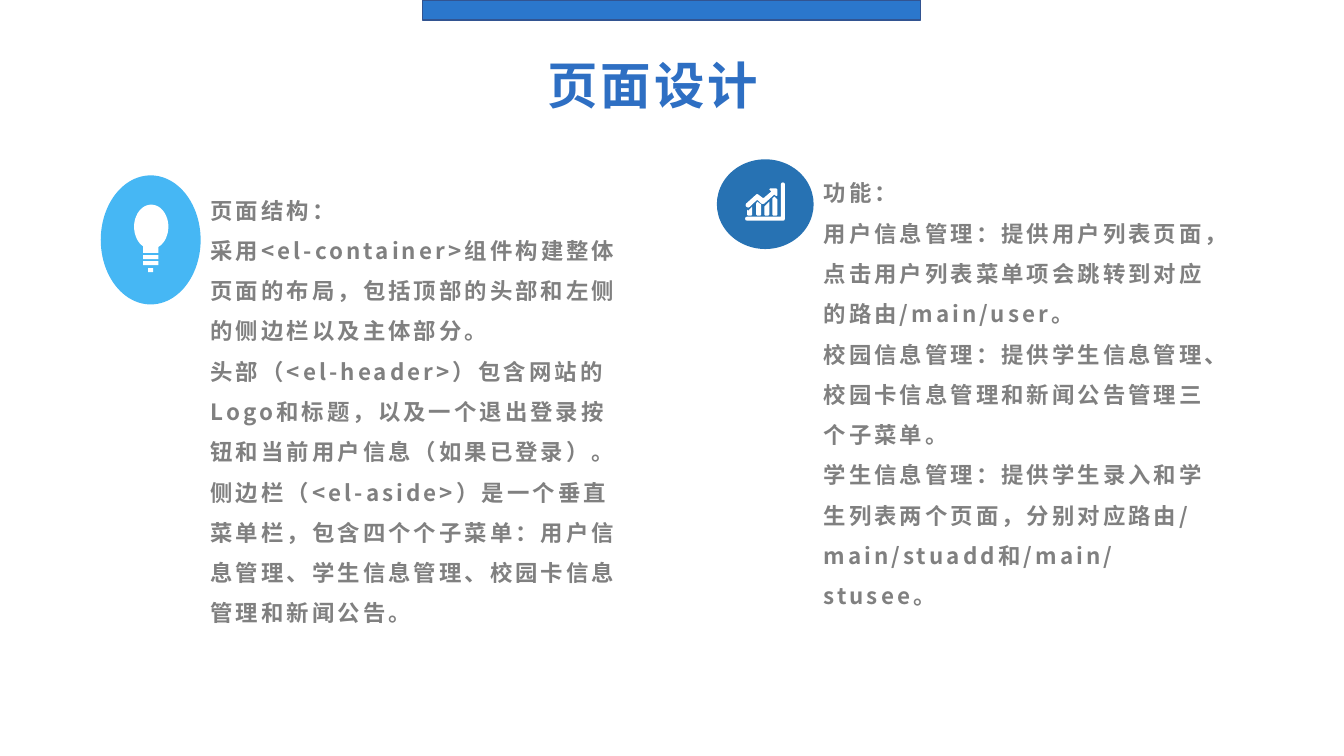
import math

from lxml import etree
from pptx import Presentation
from pptx.dml.color import RGBColor
from pptx.enum.shapes import MSO_SHAPE
from pptx.enum.text import MSO_AUTO_SIZE, PP_ALIGN
from pptx.oxml.ns import qn
from pptx.util import Inches, Pt

RECTANGLE, OVAL = MSO_SHAPE.RECTANGLE, MSO_SHAPE.OVAL
LEFT, CENTER = PP_ALIGN.LEFT, PP_ALIGN.CENTER
GROW = MSO_AUTO_SIZE.SHAPE_TO_FIT_TEXT
FONT = "Noto Sans CJK SC"
WHITE, GREY, TITLE_BLUE = "FFFFFF", "808080", "2E6FC3"

deck = Presentation()
deck.slide_width, deck.slide_height = Inches(13.33), Inches(7.5)
page = deck.slides.add_slide(deck.slide_layouts[6])
COLUMN, ROW = deck.slide_width / 100, deck.slide_height / 100
ICON_STEP = deck.slide_height / 7500


def on_grid(left, top, width, height):
    """Turn hundredths of the slide's width and height into lengths."""
    return (round(left * COLUMN), round(top * ROW),
            round(width * COLUMN), round(height * ROW))


def paint(shape, fill, line=None):
    shape.shadow.inherit = False
    shape.fill.solid()
    shape.fill.fore_color.rgb = RGBColor.from_string(fill)
    if line:
        shape.line.color.rgb = RGBColor.from_string(line)
        shape.line.width = Pt(1)
    else:
        shape.line.fill.background()


# Top band and the two discs behind the icons
for preset, place, fill, line in [
    (RECTANGLE, (31.43, 0, 37.06, 2.67), "2B77CC", "325491"),
    (OVAL, (7.5, 23.2, 7.43, 17.07), "46B7F4", None),
    (OVAL, (53.34, 21.07, 7.2, 11.87), "2772B3", None),
]:
    paint(page.shapes.add_shape(preset, *on_grid(*place)), fill, line)

# Title and the two columns of text
structure = [
    "页面结构：",
    "采用<el-container>组件构建整体页面的布局，包括顶部的头部和左侧的侧边栏以及主体部分。",
    "头部（<el-header>）包含网站的Logo和标题，以及一个退出登录按钮和当前用户信息（如果已登录）。",
    "侧边栏（<el-aside>）是一个垂直菜单栏，包含四个个子菜单：用户信息管理、学生信息管理、校园卡信息管理和新闻公告。",
]
features = [
    "功能：",
    "用户信息管理：提供用户列表页面，点击用户列表菜单项会跳转到对应的路由/main/user。",
    "校园信息管理：提供学生信息管理、校园卡信息管理和新闻公告管理三个子菜单。",
    "学生信息管理：提供学生录入和学生列表两个页面，分别对应路由/main/stuadd和/main/stusee。",
]
for place, lines, size, color, align in [
    ((14.1, 2.53, 68.94, 12), ["页面设计"], 36, TITLE_BLUE, CENTER),
    ((14.93, 23.6, 32.48, 70.53), structure, 16, GREY, LEFT),
    ((60.54, 21.33, 31.21, 59.73), features, 16, GREY, LEFT),
]:
    frame = page.shapes.add_textbox(*on_grid(*place)).text_frame
    frame.word_wrap = True
    frame.auto_size = GROW
    for index, line in enumerate(lines):
        para = frame.add_paragraph() if index else frame.paragraphs[0]
        para.alignment = align
        para.line_spacing = 1.5
        span = para.add_run()
        span.text = line
        span.font.size = Pt(size)
        span.font.bold = True
        span.font.name = FONT
        span.font.color.rgb = RGBColor.from_string(color)
        properties = span.font._element if hasattr(span.font, "_element") else span._r.get_or_add_rPr()
        properties.set("spc", "220")
        etree.SubElement(properties, qn("a:ea")).set("typeface", FONT)

# Light bulb: a round dome on a neck, with three bars below it
neck_angle = math.acos(8 / 17)
sweep = 2 * math.pi - (math.pi - 2 * neck_angle)
dome = []
for index in range(41):
    angle = math.pi - neck_angle + sweep * index / 40
    dome.append((17 + 17 * math.cos(angle), 22 + 22 * math.sin(angle)))
bulb = [dome + [(24, 42), (24, 48), (9, 48), (9, 42)]]
for left, right, top in [(9, 24, 50), (9, 24, 56), (14, 19, 63)]:
    bulb.append([(left, top), (right, top), (right, top + 4), (left, top + 4)])

# Growth chart: four bars, a rising arrow and the axes
growth = []
for bar_top in [
    [(2, 27), (3, 28), (7, 24)],
    [(11, 21), (12, 19), (16, 22)],
    [(19, 24), (24, 19)],
    [(27, 16), (29, 14), (32, 17)],
]:
    left, right = bar_top[0][0], bar_top[-1][0]
    growth.append(bar_top + [(right, 32), (right - 1, 33), (left + 1, 33), (left, 32)])
growth.append([
    (11, 18), (12, 17.5), (13, 18), (16, 21), (17.5, 21.5), (19, 21), (29, 12),
    (30, 13), (31, 13.5), (32, 13), (32, 7), (31, 6), (25, 6), (24, 7), (26, 9),
    (19, 15), (18, 15.5), (17, 15), (13, 12), (12, 11.5), (11, 12), (1, 21),
    (0.5, 22.5), (1, 24), (3, 25), (5, 24),
])
growth.append([
    (37.5, 0), (36, 0.5), (35.5, 2), (35.5, 34), (2, 34), (0.5, 34.5), (0, 36),
    (0.5, 37.5), (2, 38), (37.5, 38), (39, 37.5), (39.5, 36), (39.5, 2), (39, 0.5),
])

for (left, top), outlines in [((9.98, 27.07), bulb), ((55.44, 24.13), growth)]:
    pen = page.shapes.build_freeform(outlines[0][0][0] * 10, outlines[0][0][1] * 10, ICON_STEP)
    for index, outline in enumerate(outlines):
        points = [(x * 10, y * 10) for x, y in outline]
        if index:
            pen.move_to(*points[0])
        pen.add_line_segments(points[1:], close=True)
    paint(pen.convert_to_shape(round(left * COLUMN), round(top * ROW)), WHITE)

deck.save("out.pptx")
